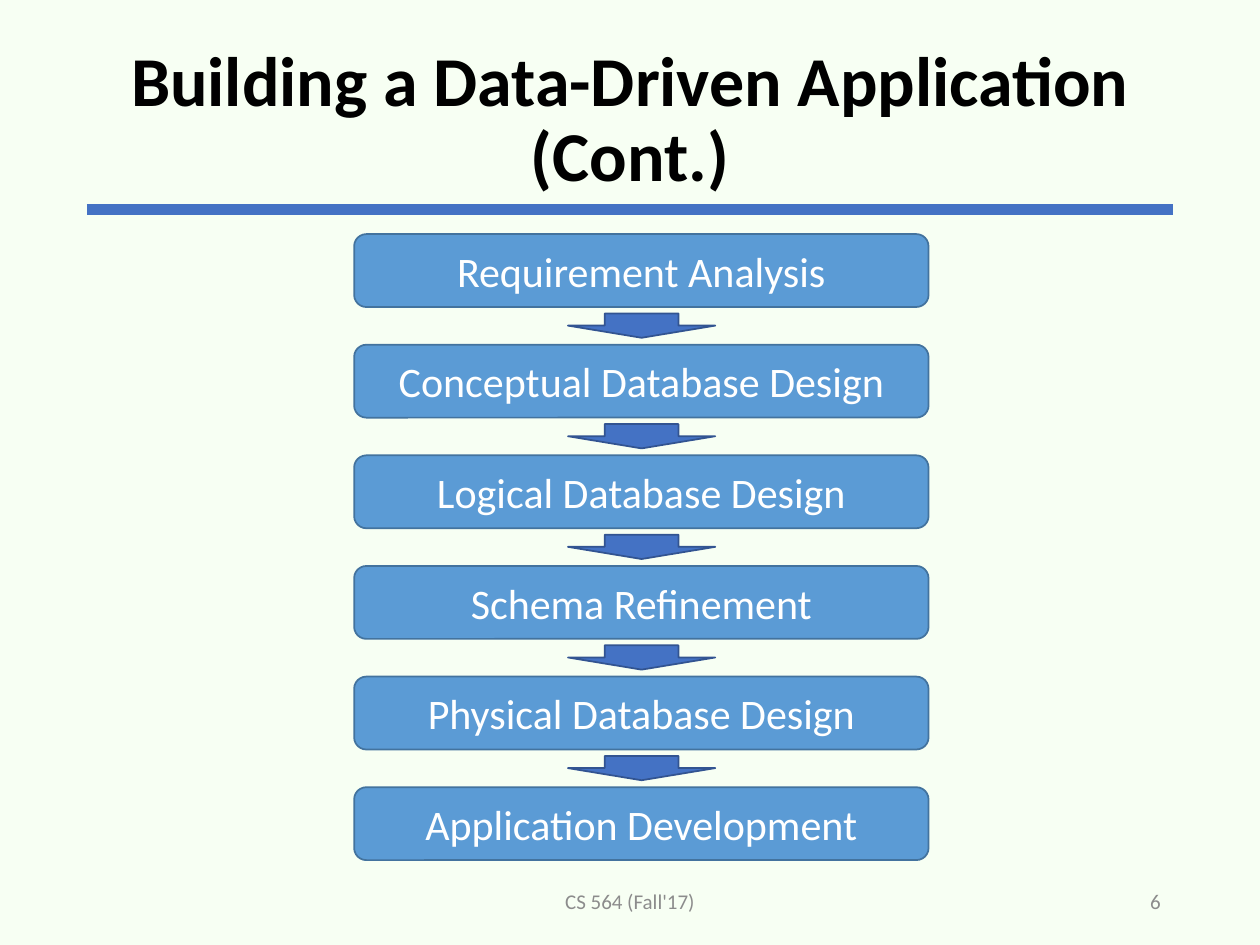
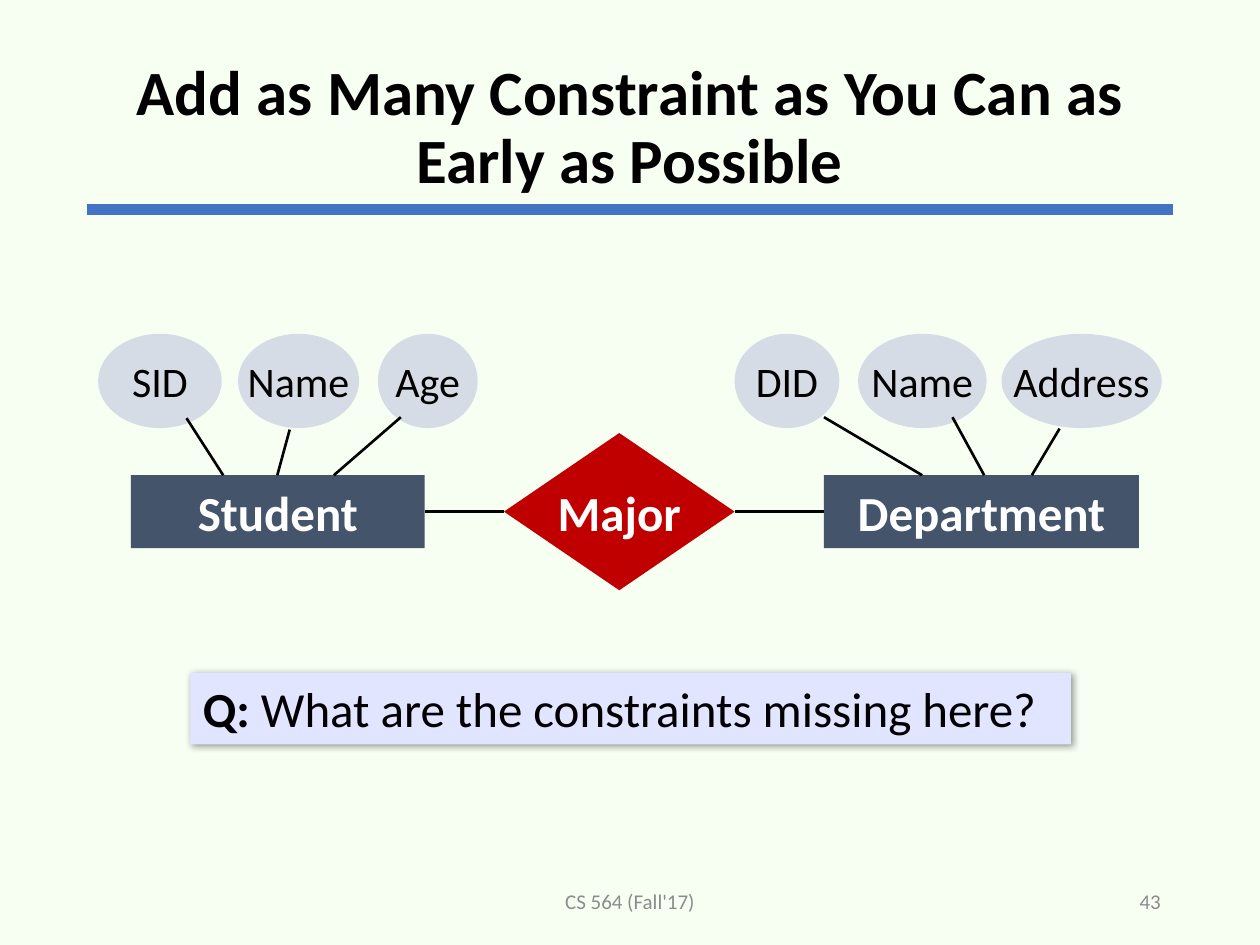
from dataclasses import dataclass

import lxml.etree
import pptx
import pptx.dml.color
import pptx.enum.shapes
import pptx.enum.text
import pptx.oxml.ns
import pptx.util

Cm = pptx.util.Cm
Pt = pptx.util.Pt
Shape = pptx.enum.shapes.MSO_SHAPE
Align = pptx.enum.text.PP_ALIGN
Anchor = pptx.enum.text.MSO_ANCHOR
qn = pptx.oxml.ns.qn

FONT = "Calibri"
COLORS = {
    "background": "F7FFF3",
    "rule": "4472C4",
    "text": "000000",
    "light text": "FFFFFF",
    "footer": "8C8C8C",
    "step": "5B9BD5",
    "step edge": "43739E",
    "arrow": "4472C4",
    "arrow edge": "325491",
    "entity": "44546A",
    "attribute": "D6DCE5",
    "relationship": "C00000",
    "question": "E2E5FF",
}


@dataclass(frozen=True)
class Box:
    """Left, top, width and height in centimetres."""
    left: float
    top: float
    width: float
    height: float

    def lengths(self) -> list:
        return [Cm(value) for value in (self.left, self.top, self.width, self.height)]


@dataclass(frozen=True)
class TextStyle:
    size: float
    color: str = "text"
    bold: bool = False
    align: Align = Align.CENTER


@dataclass(frozen=True)
class Attribute:
    name: str
    left: float
    width: float
    line_start: float  # x on the top edge of the entity
    line_end: tuple[float, float]  # point at the ellipse


@dataclass(frozen=True)
class Entity:
    name: str
    left: float
    width: float
    attributes: tuple[Attribute, ...]


STEP_STYLE = TextStyle(24, "light text")
ATTRIBUTE_STYLE = TextStyle(24)
NODE_STYLE = TextStyle(28, "light text", bold=True)
FOOTER_STYLE = TextStyle(12, "footer")
NUMBER_STYLE = TextStyle(12, "footer", align=Align.RIGHT)
QUESTION_STYLE = TextStyle(28, align=Align.LEFT)

# Content measures
MARGIN, CONTENT_WIDTH, RULE_TOP = 1.75, 21.9, 4.22
STEPS = (
    "Requirement Analysis",
    "Conceptual Database Design",
    "Logical Database Design",
    "Schema Refinement",
    "Physical Database Design",
    "Application Development",
)
STEP_TOP, STEP_PITCH, ARROW_OFFSET = 4.72, 2.23, 1.6
ENTITY_TOP, ENTITY_HEIGHT = 9.58, 1.47
ATTRIBUTE_TOP, ATTRIBUTE_HEIGHT = 6.73, 1.9
STUDENT = Entity("Student", 2.64, 5.92, (
    Attribute("SID", 1.98, 2.49, 4.5, (3.76, 8.43)),
    Attribute("Name", 4.8, 2.44, 5.59, (5.84, 8.66)),
    Attribute("Age", 7.62, 2.01, 6.73, (8.08, 8.41)),
))
DEPARTMENT = Entity("Department", 16.61, 6.35, (
    Attribute("DID", 14.81, 2.11, 18.59, (16.61, 8.41)),
    Attribute("Name", 17.3, 2.59, 19.84, (19.2, 8.41)),
    Attribute("Address", 20.19, 3.23, 20.8, (21.36, 8.64)),
))


# Drawing helpers
def rgb(name: str) -> pptx.dml.color.RGBColor:
    return pptx.dml.color.RGBColor.from_string(COLORS[name])


def write(shape, text: str, style: TextStyle, anchor=Anchor.MIDDLE, wrap: bool = True):
    """Put one styled paragraph into a shape and return the paragraph."""
    frame = shape.text_frame
    frame.word_wrap = wrap
    frame.vertical_anchor = anchor
    paragraph = frame.paragraphs[0]
    paragraph.alignment = style.align
    if text:
        paragraph.add_run().text = text
    font = paragraph.font
    font.name, font.size, font.bold = FONT, Pt(style.size), style.bold
    font.color.rgb = rgb(style.color)
    return paragraph


def add_text(slide, box: Box, text: str, style: TextStyle):
    return write(slide.shapes.add_textbox(*box.lengths()), text, style)


def add_shape(slide, kind: Shape, box: Box, fill: str, edge: str = ""):
    shape = slide.shapes.add_shape(kind, *box.lengths())
    shape.shadow.inherit = False
    shape.fill.solid()
    shape.fill.fore_color.rgb = rgb(fill)
    if edge:
        shape.line.color.rgb = rgb(edge)
        shape.line.width = Pt(1)
    else:
        shape.line.fill.background()
    return shape


def add_node(slide, kind: Shape, box: Box, fill: str, text: str, style: TextStyle):
    shape = add_shape(slide, kind, box, fill)
    write(shape, text, style, wrap=False)
    return shape


def add_line(slide, start: tuple, end: tuple, color: str = "text", width: float = 1.5):
    points = [Cm(value) for value in (*start, *end)]
    line = slide.shapes.add_connector(pptx.enum.shapes.MSO_CONNECTOR.STRAIGHT, *points)
    line.line.color.rgb = rgb(color)
    line.line.width = Pt(width)
    lxml.etree.SubElement(line._element.spPr, qn("a:effectLst"))
    return line


def join(slide, first, first_side: int, second, second_side: int) -> None:
    line = add_line(slide, (0, 0), (1, 1))
    line.begin_connect(first, first_side)
    line.end_connect(second, second_side)


def add_soft_shadow(shape) -> None:
    effects = shape._element.spPr.find(qn("a:effectLst"))
    shadow = lxml.etree.SubElement(
        effects, qn("a:outerShdw"), blurRad=str(Pt(4)), dist=str(Pt(1)),
        dir=str(45 * 60000), algn="tl", rotWithShape="0")
    color = lxml.etree.SubElement(shadow, qn("a:srgbClr"), val=COLORS["text"])
    lxml.etree.SubElement(color, qn("a:alpha"), val="40000")


def new_slide(presentation, title: str, title_size: float, top: float, height: float,
              number: int):
    """Start a slide with the shared background, rule, title and footer."""
    slide = presentation.slides.add_slide(presentation.slide_layouts[6])
    slide.background.fill.solid()
    slide.background.fill.fore_color.rgb = rgb("background")
    add_line(slide, (MARGIN, RULE_TOP), (MARGIN + CONTENT_WIDTH, RULE_TOP), "rule", 6)
    title_box = Box(MARGIN, top, CONTENT_WIDTH, height)
    paragraph = add_text(slide, title_box, title, TextStyle(title_size, bold=True))
    paragraph.line_spacing = 0.9
    add_text(slide, Box(8.41, 17.65, 8.58, 1.02), "CS 564 (Fall'17)", FOOTER_STYLE)
    add_text(slide, Box(17.93, 17.65, 5.72, 1.02), str(number), NUMBER_STYLE)
    return slide


# Slides
def build_process(presentation) -> None:
    slide = new_slide(presentation, "Building a Data-Driven Application (Cont.)",
                      40, 0.61, 3.68, 6)
    for index, step in enumerate(STEPS):
        top = STEP_TOP + index * STEP_PITCH
        box = Box(7.14, top, 11.58, 1.47)
        shape = add_shape(slide, Shape.ROUNDED_RECTANGLE, box, "step", "step edge")
        write(shape, step, STEP_STYLE)
        if index < len(STEPS) - 1:
            arrow_box = Box(11.45, top + ARROW_OFFSET, 2.97, 0.49)
            add_shape(slide, Shape.DOWN_ARROW, arrow_box, "arrow", "arrow edge")


def add_entity(slide, entity: Entity):
    box = Box(entity.left, ENTITY_TOP, entity.width, ENTITY_HEIGHT)
    shape = add_node(slide, Shape.RECTANGLE, box, "entity", entity.name, NODE_STYLE)
    for attribute in entity.attributes:
        oval = Box(attribute.left, ATTRIBUTE_TOP, attribute.width, ATTRIBUTE_HEIGHT)
        add_node(slide, Shape.OVAL, oval, "attribute", attribute.name, ATTRIBUTE_STYLE)
        add_line(slide, (attribute.line_start, ENTITY_TOP), attribute.line_end)
    return shape


def build_constraints(presentation) -> None:
    slide = new_slide(presentation,
                      "Add as Many Constraint as You Can as Early as Possible",
                      36, 1.02, 3.18, 43)
    # Entities and their relationship
    student = add_entity(slide, STUDENT)
    department = add_entity(slide, DEPARTMENT)
    major = add_node(slide, Shape.DIAMOND, Box(10.16, 8.73, 4.65, 3.17),
                     "relationship", "Major", NODE_STYLE)
    join(slide, department, 1, major, 3)
    join(slide, student, 3, major, 1)

    # Question
    question = add_shape(slide, Shape.RECTANGLE, Box(3.84, 13.56, 17.75, 1.45), "question")
    add_soft_shadow(question)
    paragraph = write(question, "", QUESTION_STYLE, Anchor.TOP)
    for text, bold in (("Q: ", True), ("What are the constraints missing here?", False)):
        run = paragraph.add_run()
        run.text = text
        run.font.bold = bold


def main() -> None:
    presentation = pptx.Presentation()
    presentation.slide_width = Cm(25.4)
    presentation.slide_height = Cm(19.05)
    build_process(presentation)
    build_constraints(presentation)
    presentation.save("out.pptx")


if __name__ == "__main__":
    main()
